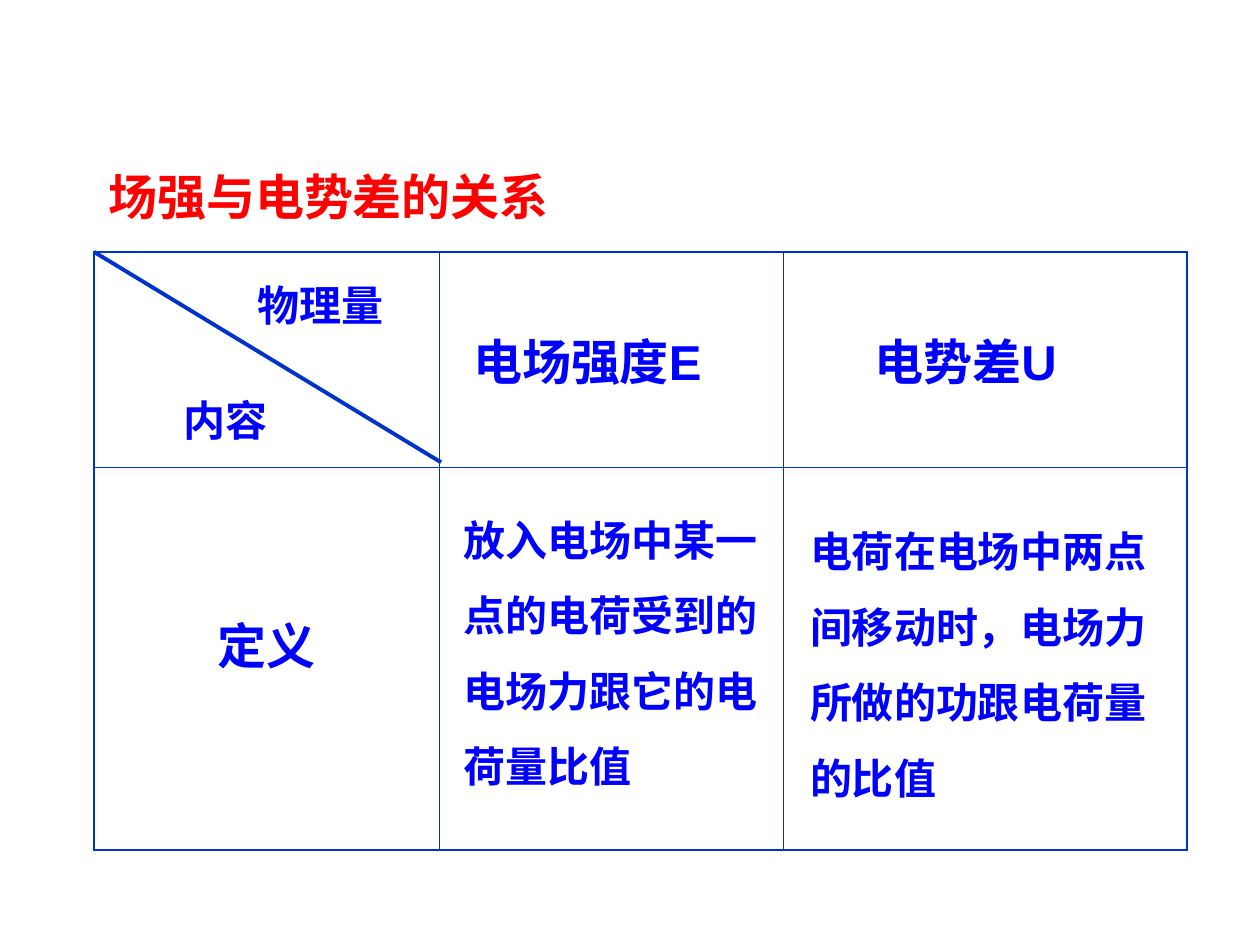
from dataclasses import dataclass

import pptx
import pptx.dml.color
import pptx.enum.shapes
import pptx.enum.text
import pptx.oxml
import pptx.oxml.ns
import pptx.util

Cm = pptx.util.Cm
Pt = pptx.util.Pt
ALIGN = pptx.enum.text.PP_ALIGN
MIDDLE = pptx.enum.text.MSO_ANCHOR.MIDDLE

BLUE, RED, RULE = "0000FF", "FF0000", "0033CC"
THICK, THIN = 1.08, 0.45
TABLE_LEFT, TABLE_TOP = 1.9, 5.08
COLUMNS, ROWS = (6.95, 6.95, 8.13), (4.34, 7.72)


@dataclass
class Heading:
    row: int
    column: int
    text: str
    align: ALIGN
    margins: dict[str, float]


@dataclass
class Label:
    text: str
    left: float
    top: float
    width: float
    height: float
    align: ALIGN = ALIGN.LEFT
    spacing: float = 1.0


HEADINGS = (
    Heading(0, 1, "电场强度E", ALIGN.LEFT, {"margin_left": 0.69}),
    Heading(0, 2, "电势差U", ALIGN.LEFT, {"margin_left": 1.83}),
    Heading(1, 0, "定义", ALIGN.CENTER, {"margin_bottom": 0.75}),
)
LABELS = (
    Label("内容", 3.18, 7.82, 2.74, 1.27, ALIGN.CENTER),
    Label("物理量", 4.88, 5.51, 3.18, 1.27, ALIGN.CENTER),
    Label("放入电场中某一点的电荷受到的电场力跟它的电荷量比值",
          9.09, 9.73, 6.78, 6.35, spacing=1.5),
    Label("电荷在电场中两点间移动时，电场力所做的功跟电荷量的比值",
          16.08, 9.96, 7.62, 6.35, spacing=1.5),
)


def rgb(value: str) -> pptx.dml.color.RGBColor:
    return pptx.dml.color.RGBColor.from_string(value)


def apply(target, formats: dict) -> None:
    for name, value in formats.items():
        setattr(target, name, value)


def write(frame, text: str, size: int, font: str, color: str,
          align: ALIGN, spacing: float = 1.0) -> None:
    frame.text = text
    paragraph = frame.paragraphs[0]
    apply(paragraph, {"alignment": align, "line_spacing": spacing})
    run_font = paragraph.runs[0].font
    apply(run_font, {"size": Pt(size), "name": font, "bold": True})
    run_font.color.rgb = rgb(color)


def set_borders(cell, widths: dict[str, float]) -> None:
    """Draw the cell's sides; the lines must precede the fill in the XML."""
    properties = cell._tc.get_or_add_tcPr()
    for position, (side, width) in enumerate(widths.items()):
        properties.insert(position, pptx.oxml.parse_xml(
            f'<a:ln{side} {pptx.oxml.ns.nsdecls("a")} w="{int(Pt(width))}">'
            f'<a:solidFill><a:srgbClr val="{RULE}"/></a:solidFill></a:ln{side}>'))


def add_comparison_table(slide) -> None:
    table = slide.shapes.add_table(
        len(ROWS), len(COLUMNS), Cm(TABLE_LEFT), Cm(TABLE_TOP),
        Cm(sum(COLUMNS)), Cm(sum(ROWS))).table
    apply(table, {"first_row": False, "horz_banding": False})
    for column, width in zip(table.columns, COLUMNS):
        column.width = Cm(width)
    for row, height in zip(table.rows, ROWS):
        row.height = Cm(height)
    for r in range(len(ROWS)):
        for c in range(len(COLUMNS)):
            cell = table.cell(r, c)
            cell.fill.background()
            outer = {"L": c == 0, "R": c == len(COLUMNS) - 1,
                     "T": r == 0, "B": r == len(ROWS) - 1}
            set_borders(cell, {side: THICK if edge else THIN
                               for side, edge in outer.items()})
    for heading in HEADINGS:
        cell = table.cell(heading.row, heading.column)
        cell.vertical_anchor = MIDDLE
        apply(cell, {side: Cm(gap) for side, gap in heading.margins.items()})
        write(cell.text_frame, heading.text, 28, "Arial", BLUE, heading.align)


def add_diagonal(slide) -> None:
    diagonal = slide.shapes.add_connector(
        pptx.enum.shapes.MSO_CONNECTOR.STRAIGHT,
        Cm(TABLE_LEFT), Cm(TABLE_TOP), Cm(8.89), Cm(9.32))
    diagonal.line.color.rgb = rgb(RULE)
    diagonal.line.width = Pt(2.25)
    diagonal._element.spPr.append(pptx.oxml.parse_xml(
        f'<a:effectLst {pptx.oxml.ns.nsdecls("a")}/>'))


def add_label(slide, label: Label) -> None:
    frame = slide.shapes.add_textbox(
        Cm(label.left), Cm(label.top), Cm(label.width), Cm(label.height)).text_frame
    frame.word_wrap = True
    write(frame, label.text, 24, "Times New Roman", BLUE, label.align, label.spacing)


def set_title(slide, text: str) -> None:
    title = slide.shapes.title
    apply(title, {"left": Cm(1.93), "top": Cm(3.23),
                  "width": Cm(10), "height": Cm(1.45)})
    apply(title.text_frame, {"word_wrap": True, "vertical_anchor": MIDDLE,
                             "auto_size": pptx.enum.text.MSO_AUTO_SIZE.NONE})
    write(title.text_frame, text, 28, "Times New Roman", RED, ALIGN.LEFT)


def main() -> None:
    deck = pptx.Presentation()
    apply(deck, {"slide_width": Cm(25.4), "slide_height": Cm(19.05)})
    slide = deck.slides.add_slide(deck.slide_layouts.get_by_name("Title Only"))
    set_title(slide, "场强与电势差的关系")
    add_comparison_table(slide)
    add_diagonal(slide)
    for label in LABELS:
        add_label(slide, label)
    deck.save("out.pptx")


if __name__ == "__main__":
    main()
